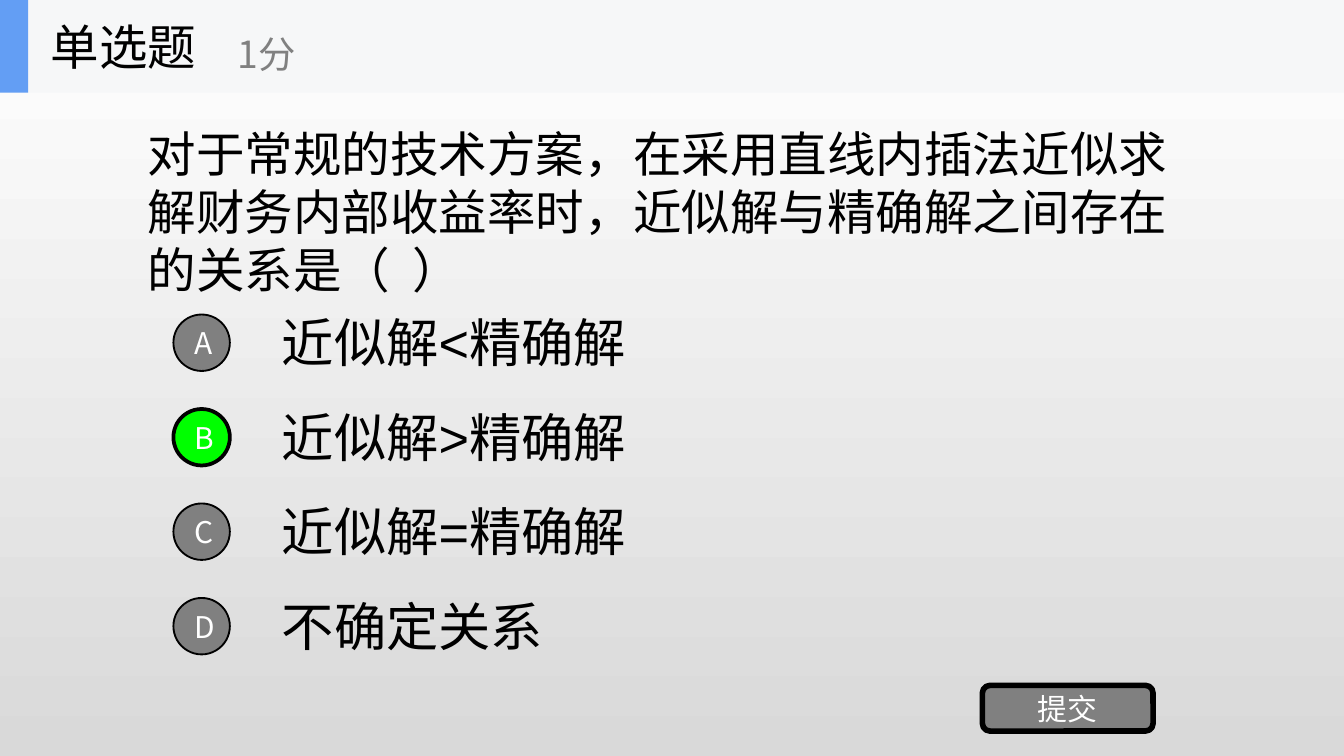
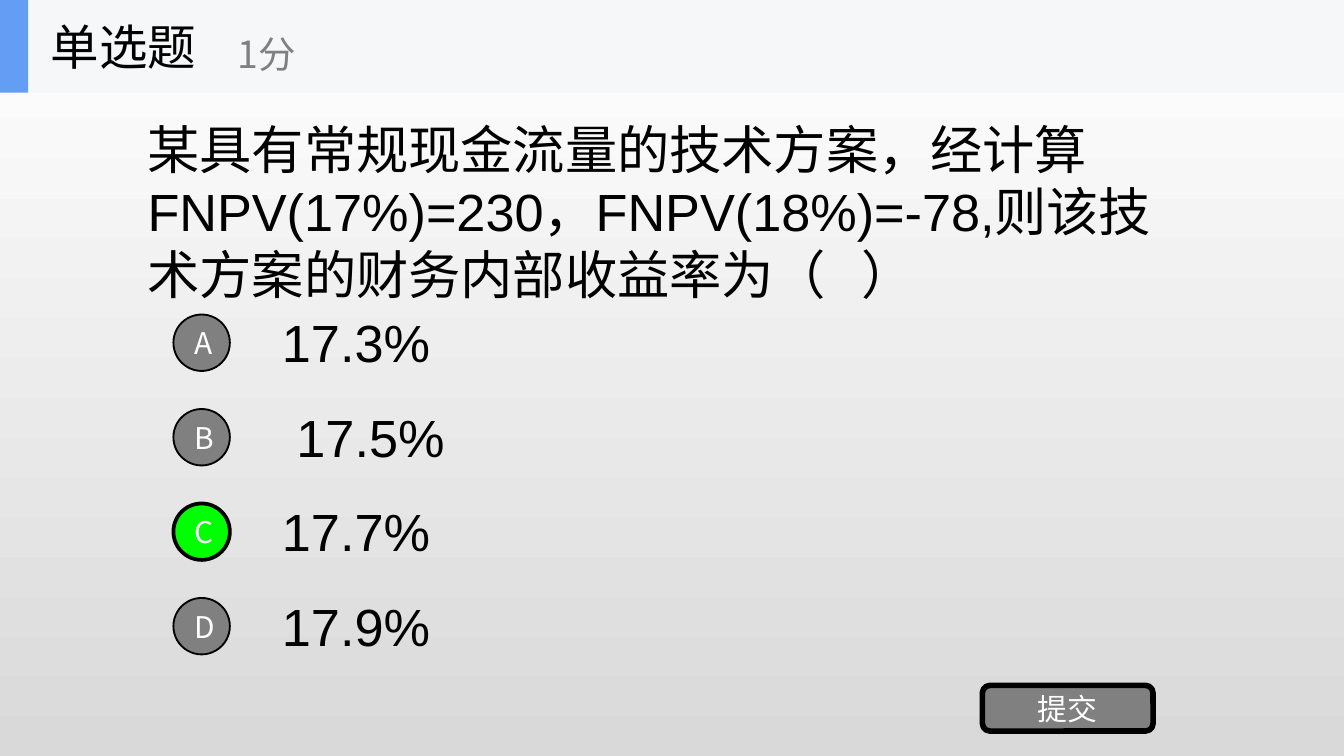
from dataclasses import dataclass

from lxml import etree
from pptx import Presentation
from pptx.dml.color import RGBColor
from pptx.enum.shapes import MSO_SHAPE
from pptx.enum.text import MSO_ANCHOR, PP_ALIGN
from pptx.oxml.ns import qn
from pptx.util import Inches, Pt

RECT = MSO_SHAPE.RECTANGLE
ROUND_RECT = MSO_SHAPE.ROUNDED_RECTANGLE
ELLIPSE = MSO_SHAPE.OVAL
MIDDLE = MSO_ANCHOR.MIDDLE
LEFT = PP_ALIGN.LEFT
CENTER = PP_ALIGN.CENTER

COLORS = {
    "ink": "000000",
    "white": "FFFFFF",
    "gray": "808080",
    "backdrop_end": "D9D9D9",
    "correct": "00FF00",
    "band": "F6F7F8",
    "accent": "639EF4",
}
LATIN = "Arial"
CHINESE = "Noto Sans CJK SC"

SLIDE_WIDTH = 10
SLIDE_HEIGHT = SLIDE_WIDTH * 9 / 16
BAND_HEIGHT = 0.69
OPTION_TOP = 2.28
BADGE_TOP = 2.34
OPTION_PITCH = SLIDE_HEIGHT / 8
BADGE_SIZE = 0.42


@dataclass(frozen=True)
class Question:
    text: str
    options: tuple[str, ...]
    answer: str
    font: str
    size: int


QUESTIONS = (
    Question(
        "对于常规的技术方案，在采用直线内插法近似求解财务内部收益率时，"
        "近似解与精确解之间存在的关系是（  ）",
        ("近似解<精确解", "近似解>精确解", "近似解=精确解", "不确定关系"),
        answer="B", font=CHINESE, size=26,
    ),
    Question(
        "某具有常规现金流量的技术方案，经计算FNPV(17%)=230，"
        "FNPV(18%)=-78,则该技术方案的财务内部收益率为（   ）",
        ("17.3%", " 17.5%", "17.7%", "17.9%"),
        answer="C", font=LATIN, size=28,
    ),
)


def rgb(name: str) -> RGBColor:
    return RGBColor.from_string(COLORS[name])


def write(shape, text: str, *, size: int, font: str = CHINESE,
          color: str = "ink", align=LEFT, wrap: bool = True) -> None:
    """Put one formatted paragraph into a shape or text box."""
    frame = shape.text_frame
    frame.word_wrap = wrap
    frame.vertical_anchor = MIDDLE
    para = frame.paragraphs[0]
    para.alignment = align
    span = para.add_run()
    span.text = text
    span.font.size = Pt(size)
    span.font.name = font
    span.font.color.rgb = rgb(color)
    # East Asian characters take their own typeface
    east_asian = etree.Element(qn("a:ea"), typeface=CHINESE)
    span.font._element.find(qn("a:latin")).addnext(east_asian)


def add_label(shapes, text: str, left: float, top: float, width: float,
              height: float, **style) -> None:
    box = shapes.add_textbox(Inches(left), Inches(top), Inches(width), Inches(height))
    write(box, text, **style)


def add_block(shapes, kind, left: float, top: float, width: float,
              height: float, *, fill: str, line: float = 0):
    block = shapes.add_shape(kind, Inches(left), Inches(top), Inches(width), Inches(height))
    block.shadow.inherit = False
    block.fill.solid()
    block.fill.fore_color.rgb = rgb(fill)
    if line:
        block.line.color.rgb = rgb("ink")
        block.line.width = Pt(line)
    else:
        block.line.fill.background()
    return block


def paint_background(page) -> None:
    fill = page.background.fill
    fill.gradient()
    fill.gradient_angle = 270
    for position, (stop, color) in enumerate(zip(fill.gradient_stops, ("white", "backdrop_end"))):
        stop.color.rgb = rgb(color)
        stop.position = position


def add_header(page) -> None:
    shapes = page.shapes.add_group_shape().shapes
    add_block(shapes, RECT, 0, 0, SLIDE_WIDTH, BAND_HEIGHT, fill="band")
    add_block(shapes, RECT, 0, 0, 0.21, BAND_HEIGHT, fill="accent")
    add_label(shapes, "单选题", 0.28, 0, 2.08, BAND_HEIGHT, size=26, wrap=False)
    add_label(shapes, "1分", 1.67, 0.12, 2.5, 0.56, size=20, color="gray", wrap=False)


def add_question(deck, question: Question) -> None:
    page = deck.slides.add_slide(deck.slide_layouts[6])
    shapes = page.shapes
    paint_background(page)

    # Question and option texts
    add_label(shapes, question.text, 1, BAND_HEIGHT, 8, 1.76,
              size=question.size, font=question.font)
    for row, option in enumerate(question.options):
        add_label(shapes, option, 2, OPTION_TOP + row * OPTION_PITCH, 7, 0.53,
                  size=28, font=LATIN)

    # Letter badges, the right answer highlighted
    for row, letter in enumerate("ABCD"):
        correct = letter == question.answer
        badge = add_block(shapes, ELLIPSE, 1.29, BADGE_TOP + row * OPTION_PITCH,
                          BADGE_SIZE, BADGE_SIZE,
                          fill="correct" if correct else "gray",
                          line=2 if correct else 1)
        write(badge, letter, size=16, color="white", align=CENTER)

    # Submit button
    button = add_block(shapes, ROUND_RECT, 7.31, 5.1, 1.27, 0.34, fill="gray", line=3)
    write(button, "提交", size=16, color="white", align=CENTER)

    add_header(page)


def main() -> None:
    deck = Presentation()
    deck.slide_width = Inches(SLIDE_WIDTH)
    deck.slide_height = Inches(SLIDE_HEIGHT)
    for question in QUESTIONS:
        add_question(deck, question)
    deck.save("out.pptx")


if __name__ == "__main__":
    main()
